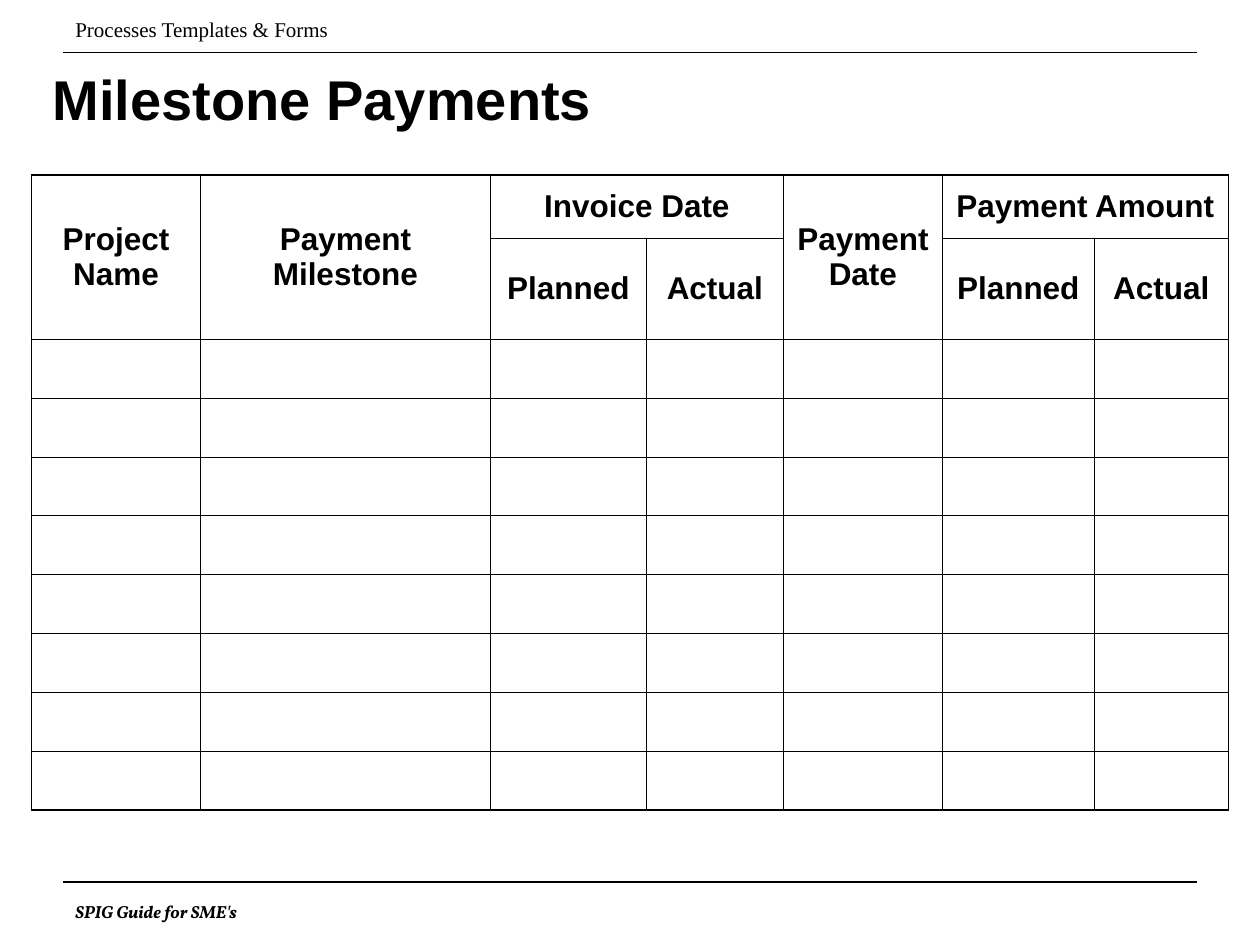
from dataclasses import dataclass

from lxml.etree import SubElement
from pptx import Presentation
from pptx.dml.color import RGBColor
from pptx.enum.shapes import MSO_CONNECTOR
from pptx.enum.text import MSO_ANCHOR, PP_ALIGN
from pptx.oxml import parse_xml
from pptx.oxml.ns import nsdecls, qn
from pptx.slide import Slide
from pptx.table import Table, _Cell
from pptx.text.text import TextFrame
from pptx.util import Pt

BLACK = RGBColor(0, 0, 0)
THIN, THICK = 0.45, 1.08
COLUMN_WIDTHS = [96.6, 165.7, 89.1, 78.3, 90.9, 86.8, 76.6]
ENTRY_COUNT = 8
ROW_HEIGHTS = [36.2, 57.7] + [33.62] * ENTRY_COUNT


@dataclass(frozen=True)
class Heading:
    """A table heading with its grid position and span."""

    text: str
    row: int
    column: int
    height: int = 1
    width: int = 1


@dataclass(frozen=True)
class Label:
    """A text placed freely on the slide."""

    text: str
    left: float
    top: float
    width: float
    height: float
    size: float
    font: str
    bold: bool = False
    italic: bool = False
    anchor: MSO_ANCHOR = MSO_ANCHOR.TOP
    inset_x: float = 7.2
    inset_y: float = 3.6


HEADINGS = [
    Heading("Project Name", 0, 0, height=2),
    Heading("Payment\nMilestone", 0, 1, height=2),
    Heading("Invoice Date", 0, 2, width=2),
    Heading("Payment\nDate", 0, 4, height=2),
    Heading("Payment Amount", 0, 5, width=2),
] + [
    Heading(text, 1, group + offset)
    for group in (2, 5)
    for offset, text in enumerate(("Planned", "Actual"))
]

LABELS = [
    Label("SPIG Guide for SME's", 36, 511.2, 180, 19.4, 10, "Vollkorn", bold=True, italic=True),
    Label("Processes Templates & Forms", 36, 5.8, 180, 21.6, 12, "Times New Roman"),
    Label("Milestone Payments", 30.2, 23.8, 576.7, 64.8, 32, "Arial", bold=True,
          anchor=MSO_ANCHOR.MIDDLE, inset_x=0, inset_y=0),
]


def write_text(frame: TextFrame, text: str, *, size: float, font: str, bold: bool = False,
               italic: bool = False, align: PP_ALIGN = PP_ALIGN.LEFT) -> None:
    """Write one formatted paragraph for each line of text."""
    for index, line in enumerate(text.split("\n")):
        paragraph = frame.add_paragraph() if index else frame.paragraphs[0]
        paragraph.alignment = align
        run = paragraph.add_run()
        run.text = line
        run.font.size = Pt(size)
        run.font.name = font
        run.font.bold = bold
        run.font.italic = italic
        run.font.color.rgb = BLACK


def add_label(slide: Slide, label: Label) -> None:
    """Place a label on the slide."""
    box = slide.shapes.add_textbox(Pt(label.left), Pt(label.top), Pt(label.width), Pt(label.height))
    frame = box.text_frame
    frame.word_wrap = True
    frame.vertical_anchor = label.anchor
    frame.margin_left = frame.margin_right = Pt(label.inset_x)
    frame.margin_top = frame.margin_bottom = Pt(label.inset_y)
    write_text(frame, label.text, size=label.size, font=label.font,
               bold=label.bold, italic=label.italic)


def add_rule(slide: Slide, y: float) -> None:
    """Draw a horizontal rule between the page margins."""
    rule = slide.shapes.add_connector(MSO_CONNECTOR.STRAIGHT, Pt(36), Pt(y), Pt(684), Pt(y))
    rule.line.color.rgb = BLACK
    rule.line.width = Pt(0.75)
    SubElement(rule._element.spPr, qn("a:effectLst"))


def set_borders(cell: _Cell, widths: dict[str, float]) -> None:
    """Give the cell its border lines, ahead of its fill."""
    properties = cell._tc.get_or_add_tcPr()
    for index, (side, width) in enumerate(widths.items()):
        properties.insert(index, parse_xml(
            f'<a:ln{side} {nsdecls("a")} w="{Pt(width)}"><a:solidFill>'
            f'<a:srgbClr val="{BLACK}"/></a:solidFill></a:ln{side}>'))


def style_grid(table: Table) -> None:
    """Clear the fills and draw a thin grid inside a thick frame."""
    for row in range(len(ROW_HEIGHTS)):
        for column in range(len(COLUMN_WIDTHS)):
            cell = table.cell(row, column)
            cell.fill.background()
            if cell.is_spanned:
                continue
            across = cell.span_width if cell.is_merge_origin else 1
            down = cell.span_height if cell.is_merge_origin else 1
            on_frame = {
                "L": column == 0,
                "R": column + across == len(COLUMN_WIDTHS),
                "T": row == 0,
                "B": row + down == len(ROW_HEIGHTS),
            }
            set_borders(cell, {side: THICK if outer else THIN for side, outer in on_frame.items()})


def add_payment_table(slide: Slide) -> None:
    """Add the payment form with its headings and empty entries."""
    table = slide.shapes.add_table(
        len(ROW_HEIGHTS), len(COLUMN_WIDTHS), Pt(18), Pt(100),
        Pt(sum(COLUMN_WIDTHS)), Pt(sum(ROW_HEIGHTS))).table
    table.first_row = table.horz_banding = False
    for column, width in zip(table.columns, COLUMN_WIDTHS):
        column.width = Pt(width)
    for row, height in zip(table.rows, ROW_HEIGHTS):
        row.height = Pt(height)
    for heading in HEADINGS:
        cell = table.cell(heading.row, heading.column)
        if heading.height * heading.width > 1:
            cell.merge(table.cell(heading.row + heading.height - 1,
                                  heading.column + heading.width - 1))
        cell.vertical_anchor = MSO_ANCHOR.MIDDLE
        write_text(cell.text_frame, heading.text, size=18, font="Arial", bold=True,
                   align=PP_ALIGN.CENTER)
    style_grid(table)


def main() -> None:
    """Build the milestone payments slide."""
    presentation = Presentation()
    presentation.slide_width, presentation.slide_height = Pt(720), Pt(540)
    slide = presentation.slides.add_slide(presentation.slide_layouts[6])
    for y in (504, 30):
        add_rule(slide, y)
    for label in LABELS:
        add_label(slide, label)
    add_payment_table(slide)
    presentation.save("out.pptx")


if __name__ == "__main__":
    main()
